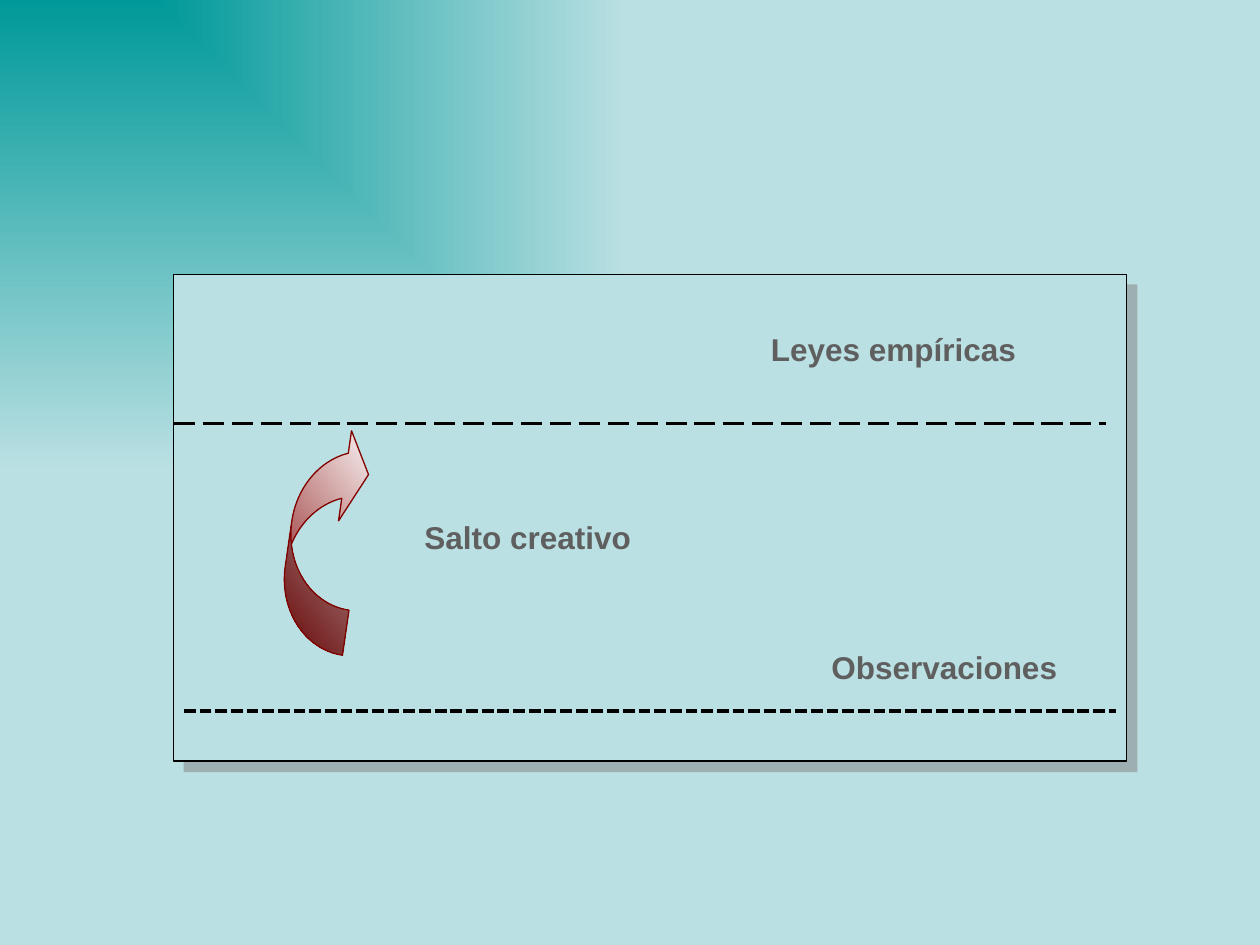
import typing

import lxml.etree
import pptx
import pptx.dml.color
import pptx.enum.dml
import pptx.enum.shapes
import pptx.enum.text
import pptx.oxml
import pptx.oxml.ns
import pptx.util

Inches = pptx.util.Inches
RGB = pptx.dml.color.RGBColor
DASH = pptx.enum.dml.MSO_LINE
SHAPE = pptx.enum.shapes.MSO_SHAPE

TEAL = RGB(0x00, 0x99, 0x99)
PALE = RGB(0xBB, 0xE0, 0xE3)
BLACK = RGB(0x00, 0x00, 0x00)
WHITE = RGB(0xFF, 0xFF, 0xFF)
MAROON = RGB(0x80, 0x00, 0x00)
GRAY = RGB(0x5F, 0x5F, 0x5F)
NS = pptx.oxml.ns.nsdecls("a")


class Label(typing.NamedTuple):
    text: str
    left: float
    top: float
    width: float
    wrap: bool


class Rule(typing.NamedTuple):
    left: float
    top: float
    weight: float
    dash: typing.Any


LABELS = [
    Label("Leyes empíricas", 6.02, 2.57, 2.2, True),
    Label("Observaciones ", 6.5, 5.09, 2.06, False),
    Label("Salto creativo", 3.27, 4.06, 1.84, False),
]
RULES = [
    Rule(1.46, 5.64, 2.25, DASH.SQUARE_DOT),
    Rule(1.38, 3.36, 1.5, DASH.LONG_DASH),
]
RULE_WIDTH = 7.4


def blend(fill, first: RGB, last: RGB) -> None:
    fill.gradient()
    for stop, color in zip(fill.gradient_stops, (first, last)):
        stop.color.rgb = color


def outline(line, color: RGB, weight: float) -> None:
    line.color.rgb = color
    line.width = pptx.util.Pt(weight)


def draw_rule(slide, rule: Rule) -> None:
    line = slide.shapes.add_connector(
        pptx.enum.shapes.MSO_CONNECTOR.STRAIGHT,
        Inches(rule.left), Inches(rule.top),
        Inches(rule.left + RULE_WIDTH), Inches(rule.top))
    outline(line.line, BLACK, rule.weight)
    line.line.dash_style = rule.dash
    lxml.etree.SubElement(line.element.spPr, pptx.oxml.ns.qn("a:effectLst"))


def draw_label(slide, label: Label) -> None:
    box = slide.shapes.add_textbox(
        Inches(label.left), Inches(label.top), Inches(label.width), Inches(0.4))
    frame = box.text_frame
    frame.word_wrap = label.wrap
    frame.auto_size = pptx.enum.text.MSO_AUTO_SIZE.SHAPE_TO_FIT_TEXT
    run = frame.paragraphs[0].add_run()
    run.text = label.text
    run.font.name = "Arial"
    run.font.size = pptx.util.Pt(18)
    run.font.bold = True
    run.font.color.rgb = GRAY


deck = pptx.Presentation()
deck.slide_width, deck.slide_height = Inches(10), Inches(7.5)
slide = deck.slides.add_slide(deck.slide_layouts[6])

# Background fading from the top left corner
blend(slide.background.fill, TEAL, PALE)
slant = slide.element.find(".//" + pptx.oxml.ns.qn("a:lin"))
slant.getparent().replace(slant, pptx.oxml.parse_xml(
    f'<a:path {NS} path="rect"><a:fillToRect r="100000" b="100000"/></a:path>'))

# Panel with a hard shadow
panel = slide.shapes.add_shape(
    SHAPE.RECTANGLE, Inches(1.38), Inches(2.18), Inches(7.56), Inches(3.86))
panel.fill.solid()
panel.fill.fore_color.rgb = PALE
outline(panel.line, BLACK, 0.75)
panel.element.spPr.append(pptx.oxml.parse_xml(
    f'<a:effectLst {NS}><a:outerShdw dist="{pptx.util.Pt(8.5)}" dir="2700000" '
    'algn="ctr" rotWithShape="0"><a:srgbClr val="808080"><a:alpha val="50000"/>'
    '</a:srgbClr></a:outerShdw></a:effectLst>'))

# Level lines
for rule in RULES:
    draw_rule(slide, rule)

# Curved arrow between the levels
arrow = slide.shapes.add_shape(
    SHAPE.CURVED_LEFT_ARROW, Inches(2.3), Inches(3.36), Inches(0.55), Inches(1.81))
arrow.shadow.inherit = False
arrow.rotation = 188.2
for spot, value in enumerate((0.657, 1.313, 0.333)):
    arrow.adjustments[spot] = value
blend(arrow.fill, WHITE, MAROON)
arrow.fill.gradient_angle = 45
outline(arrow.line, MAROON, 0.75)

# Labels
for label in LABELS:
    draw_label(slide, label)

deck.save("out.pptx")
